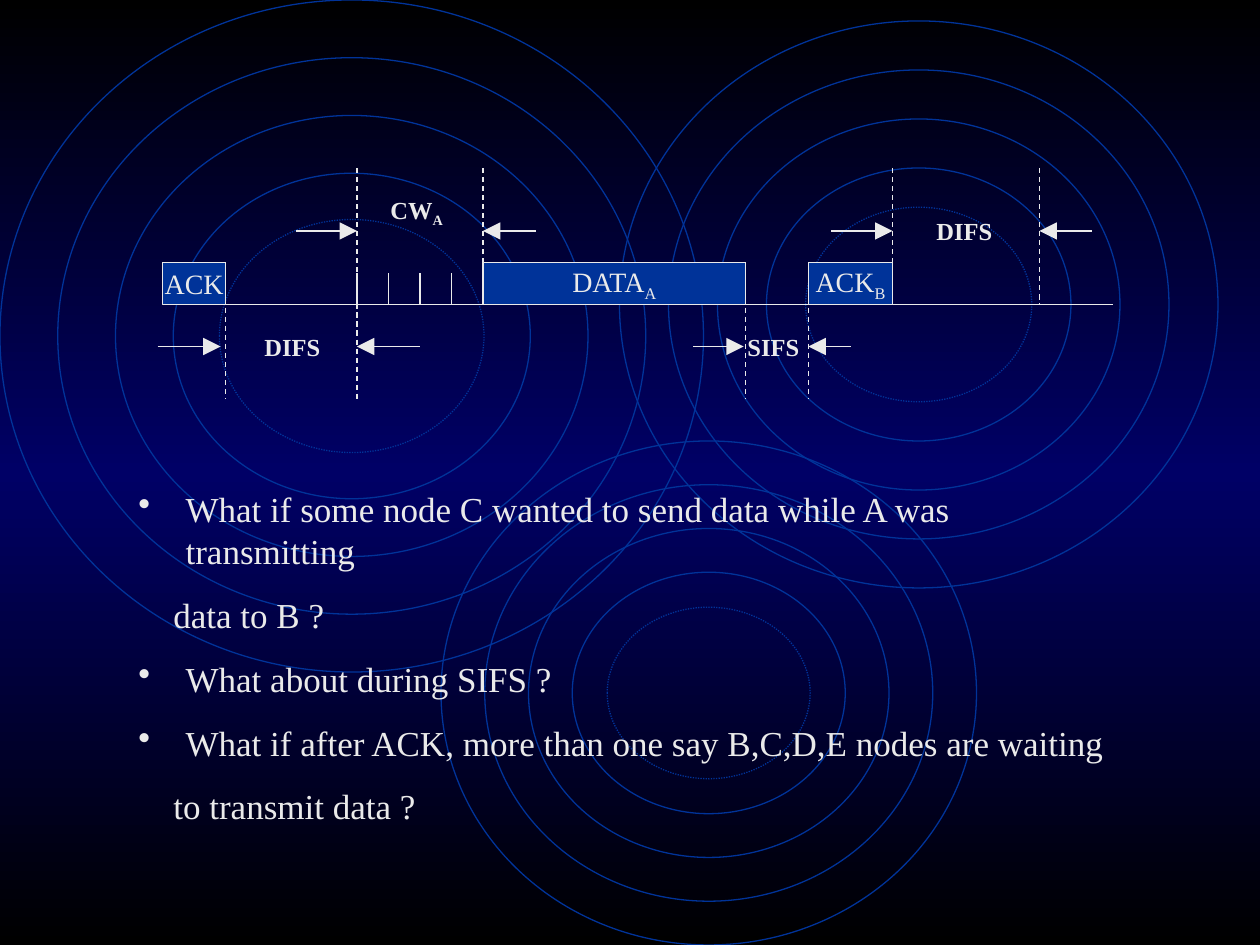
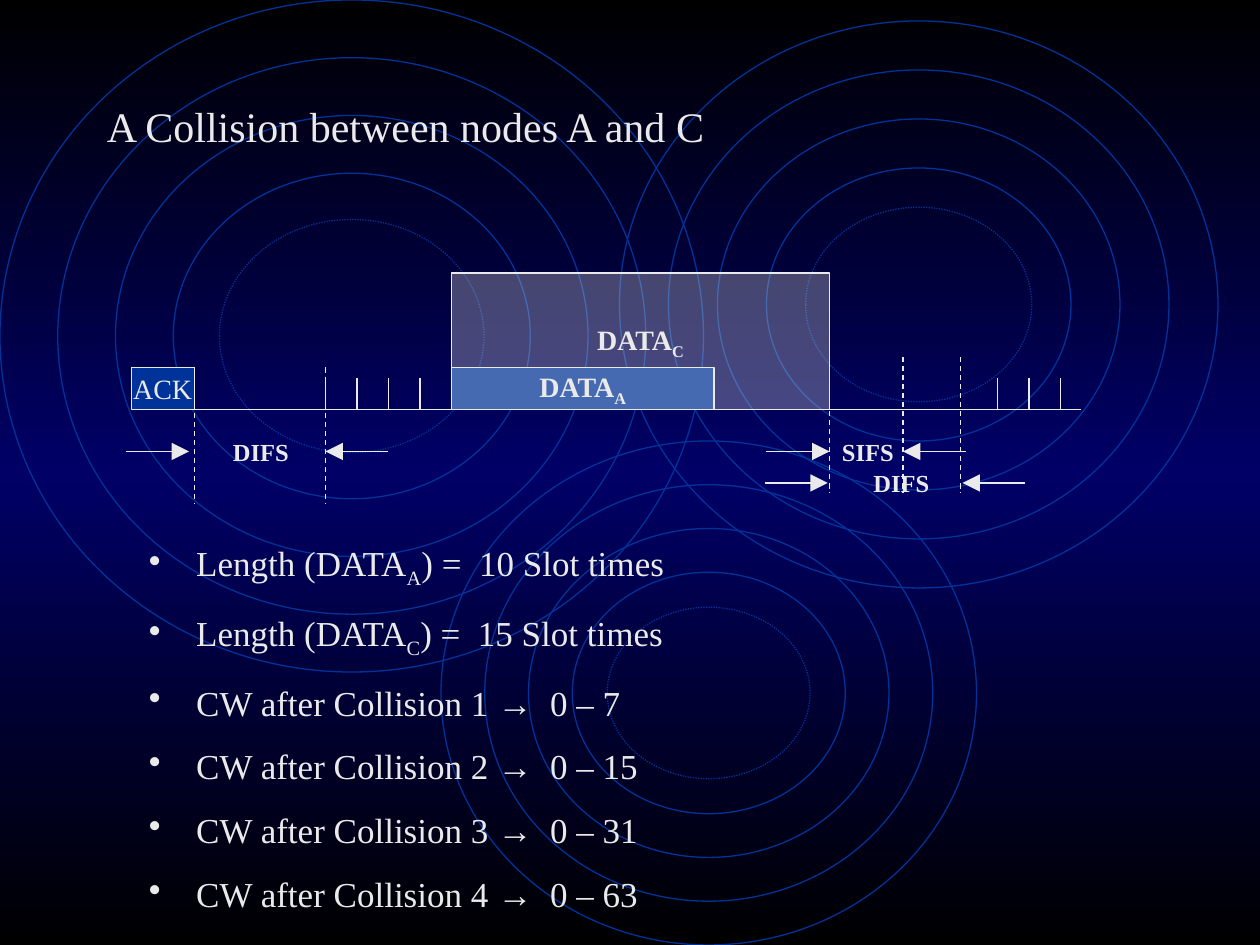
"""Build two slides on channel access timing and collisions."""
from copy import deepcopy
from dataclasses import dataclass
from typing import NamedTuple

from pptx import Presentation
from pptx.dml.color import RGBColor
from pptx.enum.dml import MSO_LINE
from pptx.enum.shapes import MSO_CONNECTOR, MSO_SHAPE
from pptx.enum.text import MSO_ANCHOR, PP_ALIGN
from pptx.oxml.ns import qn
from pptx.oxml.xmlchemy import OxmlElement
from pptx.util import Pt


@dataclass(frozen=True)
class Theme:
    light: RGBColor = RGBColor(0xEA, 0xEA, 0xEA)
    blue: RGBColor = RGBColor(0x00, 0x33, 0x99)
    black: RGBColor = RGBColor(0, 0, 0)
    navy: RGBColor = RGBColor(0x00, 0x00, 0x66)
    font: str = "Times New Roman"
    symbol_font: str = "Arial"
    title: int = 24
    body: int = 20
    frame: int = 16
    label: int = 14
    line: float = 0.75


T = Theme()


class Run(NamedTuple):
    text: str
    sub: bool = False
    font: str = T.font


class Para(NamedTuple):
    runs: list[Run]
    bullet: bool = False
    margin: float = 0


class Ripple(NamedTuple):
    x: float
    y: float
    w: float
    h: float
    step: float


class Frame(NamedTuple):
    runs: list[Run]
    x: float
    y: float
    w: float
    h: float
    bold: bool = False
    fill: RGBColor = T.blue
    opacity: int = 100


class Dash(NamedTuple):
    x: float
    top: float
    bottom: float


class Gap(NamedTuple):
    runs: list[Run]
    label_x: float
    y: float
    left: tuple[float, float]
    right: tuple[float, float]
    lift: float = 12


class Timeline(NamedTuple):
    start: float
    end: float
    y: float
    frames: list[Frame]
    ticks: list[float]
    dashes: list[Dash]
    gaps: list[Gap]


RIPPLES = [
    Ripple(0, 0, 402, 384, 33),
    Ripple(252, 252, 306, 288, 25),
    Ripple(354, 12, 342, 324, 28),
]
RING_STEPS = (0, 1, 2, 3, 3.8)
SLOT = 18
BULLET_MARGIN = 27
FOLLOW_MARGIN = 20
ACK, DIFS, SIFS = [Run("ACK")], [Run("DIFS")], [Run("SIFS")]


def with_sub(text: str, sub: str) -> list[Run]:
    return [Run(text), Run(sub, sub=True)]


def bullet(*runs: Run) -> Para:
    return Para(list(runs), bullet=True, margin=BULLET_MARGIN)


def follow(text: str) -> Para:
    return Para([Run(text)], margin=FOLLOW_MARGIN)


def slots(first: float, count: int) -> list[float]:
    return [first + i * SLOT for i in range(count)]


def write(tf, paras: list[Para], *, size: float, bold: bool = False,
          align=PP_ALIGN.LEFT, before: float = 0, wrap: bool = True,
          anchor=MSO_ANCHOR.TOP) -> None:
    tf.word_wrap = wrap
    tf.vertical_anchor = anchor
    for i, para in enumerate(paras):
        p = tf.paragraphs[0] if i == 0 else tf.add_paragraph()
        p.alignment = align
        if i:
            p.space_before = Pt(before)
        pPr = p._p.get_or_add_pPr()
        pPr.set("marL", str(Pt(para.margin)))
        pPr.set("indent", str(Pt(-para.margin if para.bullet else 0)))
        if para.bullet:
            bu = OxmlElement("a:buChar")
            bu.set("char", "•")
            pPr.append(bu)
        for run in para.runs:
            r = p.add_run()
            r.text = run.text
            r.font.name = run.font
            r.font.size = Pt(size)
            r.font.bold = bold
            r.font.color.rgb = T.light
            if run.sub:
                r._r.get_or_add_rPr().set("baseline", "-25000")


def add_text(s, x: float, y: float, w: float, h: float,
             paras: list[Para], **fmt) -> None:
    sp = s.shapes.add_textbox(Pt(x), Pt(y), Pt(w), Pt(h))
    write(sp.text_frame, paras, **fmt)


def add_line(s, x1: float, y1: float, x2: float, y2: float, *,
             dashed: bool = False, arrow: bool = False) -> None:
    c = s.shapes.add_connector(MSO_CONNECTOR.STRAIGHT, Pt(x1), Pt(y1), Pt(x2), Pt(y2))
    c.line.color.rgb = T.light
    c.line.width = Pt(T.line)
    if dashed:
        c.line.dash_style = MSO_LINE.DASH
    if arrow:
        head = OxmlElement("a:tailEnd")
        for key, value in (("type", "triangle"), ("w", "lg"), ("len", "lg")):
            head.set(key, value)
        c.line._get_or_add_ln().append(head)
    c._element.spPr.append(OxmlElement("a:effectLst"))


def add_ripple(s, ripple: Ripple) -> None:
    for k in RING_STEPS:
        d = k * ripple.step
        sp = s.shapes.add_shape(MSO_SHAPE.OVAL, Pt(ripple.x + d), Pt(ripple.y + d),
                                Pt(ripple.w - 2 * d), Pt(ripple.h - 2 * d))
        sp.shadow.inherit = False
        sp.fill.background()
        sp.line.color.rgb = T.blue
        sp.line.width = Pt(T.line)
        if k == RING_STEPS[-1]:
            sp.line.dash_style = MSO_LINE.ROUND_DOT


def add_frame(s, f: Frame) -> None:
    sp = s.shapes.add_shape(MSO_SHAPE.RECTANGLE, Pt(f.x), Pt(f.y), Pt(f.w), Pt(f.h))
    sp.shadow.inherit = False
    sp.fill.solid()
    sp.fill.fore_color.rgb = f.fill
    if f.opacity < 100:
        alpha = OxmlElement("a:alpha")
        alpha.set("val", str(f.opacity * 1000))
        sp._element.spPr.find(qn("a:solidFill"))[0].append(alpha)
    sp.line.color.rgb = T.light
    sp.line.width = Pt(T.line)
    write(sp.text_frame, [Para(f.runs)], size=T.frame, bold=f.bold,
          align=PP_ALIGN.CENTER, wrap=False, anchor=MSO_ANCHOR.MIDDLE)


def add_gap(s, g: Gap) -> None:
    for tail, tip in (g.left, g.right):
        add_line(s, tail, g.y, tip, g.y, arrow=True)
    add_text(s, g.label_x, g.y - g.lift, 48, 24.5, [Para(g.runs)],
             size=T.label, bold=True)


def add_timeline(s, t: Timeline) -> None:
    add_line(s, t.start, t.y, t.end, t.y)
    for frame in t.frames:
        add_frame(s, frame)
    for x in t.ticks:
        add_line(s, x, t.y, x, t.y - SLOT)
    for d in t.dashes:
        add_line(s, d.x, d.top, d.x, d.bottom, dashed=True)
    for gap in t.gaps:
        add_gap(s, gap)


def set_background(master) -> None:
    fill = master.background.fill
    fill.gradient()
    fill.gradient_angle = 90
    stops = master.element.find(".//" + qn("a:gsLst"))
    stops.insert(1, deepcopy(stops[0]))
    colors = (T.black, T.navy, T.black)
    for stop, position, color in zip(fill.gradient_stops, (0, 0.5, 1), colors):
        stop.position = position
        stop.color.rgb = color


def new_slide(prs):
    s = prs.slides.add_slide(prs.slide_layouts[6])
    for ripple in RIPPLES:
        add_ripple(s, ripple)
    return s


def build_access_slide(prs) -> None:
    s = new_slide(prs)
    add_timeline(s, Timeline(
        102, 636, 174,
        frames=[
            Frame(with_sub("DATA", "A"), 276, 150, 150, 24),
            Frame(with_sub("ACK", "B"), 462, 150, 48, 24),
            Frame(ACK, 93, 150, 36, 24),
        ],
        ticks=slots(204, 4),
        dashes=[Dash(204, 96, 228)]
        + [Dash(x, 150, 228) for x in (129, 426, 462)]
        + [Dash(x, 96, 174) for x in (276, 510, 594)],
        gaps=[
            Gap(DIFS, 144, 198, (90, 126), (240, 204)),
            Gap(SIFS, 420, 198, (396, 425), (486, 462)),
            Gap(DIFS, 528, 132, (475, 510), (624, 594)),
            Gap(with_sub("CW", "A"), 216, 132, (169, 204), (306, 276), lift=24),
        ],
    ))
    add_text(s, 72, 275, 576, 177, [
        bullet(Run("What if some node C wanted to send data while A was transmitting")),
        follow("data to B ?"),
        bullet(Run("What about during SIFS ?")),
        bullet(Run("What if after ACK, more than one say B,C,D,E nodes are waiting")),
        follow("to transmit data ?"),
    ], size=T.body, before=12.5)


def build_collision_slide(prs) -> None:
    s = new_slide(prs)
    add_timeline(s, Timeline(
        84, 618, 234,
        frames=[
            Frame(with_sub("DATA", "A"), 258, 210, 150, 24, bold=True),
            Frame(ACK, 75, 210, 36, 24),
            Frame(with_sub("DATA", "C"), 258, 156, 216, 78, bold=True,
                  fill=T.light, opacity=30),
        ],
        ticks=slots(186, 4) + slots(570, 3),
        dashes=[Dash(x, 210, 288) for x in (111, 186)]
        + [Dash(x, 204, 282) for x in (474, 516, 549)],
        gaps=[
            Gap(DIFS, 126, 258, (72, 108), (222, 186)),
            Gap(SIFS, 474, 258, (438, 474), (552, 516)),
            Gap(DIFS, 492, 276, (437, 473), (586, 550)),
        ],
    ))
    add_text(s, 54, 54, 480, 36, [Para([Run("A Collision between nodes A and C")])],
             size=T.title)
    lengths = [bullet(Run("Length (DATA"), Run(node, sub=True), Run(f") =  {n} Slot times"))
               for node, n in (("A", 10), ("C", 15))]
    windows = [bullet(Run(f"CW after Collision {n} "), Run("→", font=T.symbol_font),
                      Run(f"  0 – {2 ** (n + 2) - 1}"))
               for n in range(1, 5)]
    add_text(s, 78, 306, 552, 220, lengths + windows, size=T.body, before=12.5)


def main() -> None:
    prs = Presentation()
    prs.slide_width, prs.slide_height = Pt(720), Pt(540)
    set_background(prs.slide_master)
    build_access_slide(prs)
    build_collision_slide(prs)
    prs.save("out.pptx")


if __name__ == "__main__":
    main()
